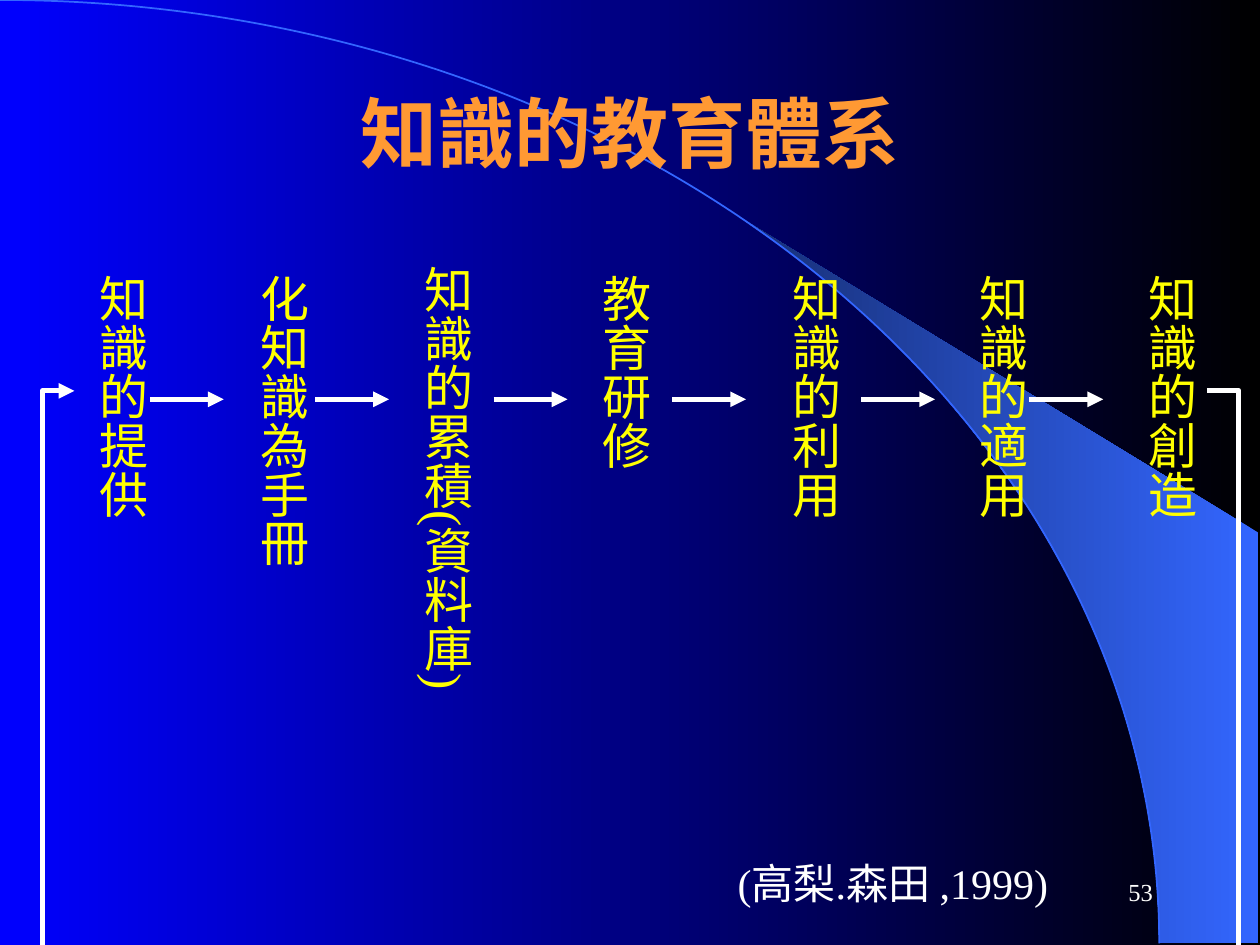
from math import asin, cos, pi, sin

from pptx import Presentation
from pptx.dml.color import RGBColor
from pptx.enum.shapes import MSO_CONNECTOR, MSO_SHAPE
from pptx.enum.text import MSO_ANCHOR, MSO_AUTO_SIZE, PP_ALIGN
from pptx.oxml.ns import qn
from pptx.util import Cm, Pt
from lxml.etree import SubElement

BLACK = RGBColor(0x00, 0x00, 0x00)
BLUE = RGBColor(0x00, 0x00, 0xFF)
SKY = RGBColor(0x33, 0x66, 0xFF)
NAVY = RGBColor(0x17, 0x2F, 0x75)
ORANGE = RGBColor(0xFF, 0x99, 0x33)
YELLOW = RGBColor(0xFF, 0xFF, 0x00)
WHITE = RGBColor(0xFF, 0xFF, 0xFF)
SERIF = "Times New Roman"

# Text, left, top and height of each step, in cm from the flow's corner
STEPS = [
    ("知識的提供", 0, 0.18, 5.18),
    ("化知識為手冊", 3.25, 0.18, 6.17),
    ("知識的累積(資料庫)", 6.55, 0, 9.53),
    ("教育研修", 10.15, 0.18, 4.22),
    ("知識的利用", 13.97, 0.18, 5.18),
    ("知識的適用", 17.75, 0.18, 5.18),
    ("知識的創造", 21.15, 0.18, 5.18),
]
ARROWS = [1.52, 4.85, 8.45, 12.05, 15.86, 19.25]


def shade(fill, first, last):
    fill.gradient()
    fill.gradient_angle = 180
    for stop, color, place in zip(fill.gradient_stops, (first, last), (0, 1)):
        stop.color.rgb = color
        stop.position = place


def write(shape, text, size, color, align, font=SERIF, bold=False):
    para = shape.text_frame.paragraphs[0]
    para.alignment = align
    run = para.add_run()
    run.text = text
    run.font.name = font
    run.font.size = Pt(size)
    run.font.bold = bold
    run.font.color.rgb = color


def add_line(slide, kind, x1, y1, x2, y2):
    line = slide.shapes.add_connector(kind, Cm(x1), Cm(y1), Cm(x2), Cm(y2))
    line.line.color.rgb = WHITE
    line.line.width = Pt(3)
    SubElement(line.line._get_or_add_ln(), qn("a:tailEnd"), type="triangle")
    SubElement(line.element.spPr, qn("a:effectLst"))
    return line


def add_back(slide, x, y, w, h):
    """Gradient ground with a quarter ellipse and the wedge beside it."""
    shade(slide.background.fill, BLACK, BLUE)

    # Wedge: two outer corners, then points along the ellipse
    low = asin(0.64)
    turns = [low + (pi / 2 - low) * i / 24 for i in range(25)]
    curve = [(x + w * sin(t), y + h * (1 - cos(t))) for t in turns]
    points = [(x + 25.37, y + h), (x + 25.37, y + 10.74)] + curve
    points = [(px * 100, py * 100) for px, py in points]
    pen = slide.shapes.build_freeform(*points[0], scale=Cm(0.01))
    pen.add_line_segments(points[1:], close=True)
    wedge = pen.convert_to_shape()
    wedge.shadow.inherit = False
    shade(wedge.fill, SKY, NAVY)
    wedge.line.fill.background()

    # Rim
    arc = slide.shapes.add_shape(
        MSO_SHAPE.ARC, Cm(x - w), Cm(y), Cm(2 * w), Cm(2 * h))
    arc.shadow.inherit = False
    arc.fill.background()
    arc.line.color.rgb = SKY
    arc.line.width = Pt(1)


def add_title(slide, x, y, w, h):
    title = slide.shapes.title
    slide.shapes.element.append(title.element)  # in front of the ground
    title.left, title.top, title.width, title.height = map(Cm, (x, y, w, h))
    frame = title.text_frame
    frame.auto_size = MSO_AUTO_SIZE.NONE
    frame.vertical_anchor = MSO_ANCHOR.MIDDLE
    write(title, "知識的教育體系", 44, ORANGE, PP_ALIGN.CENTER, "Arial", True)


def add_step(slide, text, x, y, w, h):
    box = slide.shapes.add_textbox(Cm(x), Cm(y), Cm(w), Cm(h))
    frame = box.text_frame
    frame.word_wrap = False
    frame.auto_size = MSO_AUTO_SIZE.SHAPE_TO_FIT_TEXT
    frame.margin_left = frame.margin_right = Cm(0.13)
    frame.margin_top = frame.margin_bottom = Cm(0.25)
    frame._txBody.bodyPr.set("vert", "eaVert")
    write(box, text, 28, YELLOW, PP_ALIGN.CENTER)
    return box


def add_flow(slide, x, y):
    """Upright steps, the arrows between them and the loop back."""
    boxes = [add_step(slide, text, x + left, y + top, 1.68, high)
             for text, left, top, high in STEPS]
    for start in ARROWS:
        add_line(slide, MSO_CONNECTOR.STRAIGHT,
                 x + start, y + 2.95, x + start + 1.49, y + 2.95)

    # Loop: out to the right, below the steps, back in from the left
    loop = add_line(slide, MSO_CONNECTOR.ELBOW,
                    x + 22.83, y + 2.79, x - 0.02, y + 2.8)
    loop.begin_connect(boxes[-1], 3)
    loop.end_connect(boxes[0], 1)
    loop.height = Cm(0.01)
    shape = loop.element.spPr.find(qn("a:prstGeom"))
    shape.set("prst", "bentConnector5")
    guides = shape.find(qn("a:avLst"))
    if guides is None:
        guides = SubElement(shape, qn("a:avLst"))
    for i, value in enumerate((-2800, 117100000, 102800), 1):
        SubElement(guides, qn("a:gd"), name=f"adj{i}", fmla=f"val {value}")


def add_note(slide, text, size, align, x, y, w, h, wrap):
    box = slide.shapes.add_textbox(Cm(x), Cm(y), Cm(w), Cm(h))
    frame = box.text_frame
    frame.word_wrap = wrap
    frame.vertical_anchor = MSO_ANCHOR.MIDDLE
    write(box, text, size, WHITE, align)


def main():
    deck = Presentation()
    deck.slide_width, deck.slide_height = Cm(25.4), Cm(19.05)
    slide = deck.slides.add_slide(deck.slide_layouts[5])
    add_back(slide, 0, 0, 23.37, 19.02)
    add_title(slide, 1.9, 1.48, 21.6, 2.33)
    add_flow(slide, 1.5, 5.1)
    # Source and page number
    add_note(slide, "(高梨.森田 ,1999)", 24, PP_ALIGN.CENTER,
             14.1, 17.15, 7.8, 1.27, False)
    add_note(slide, "53", 14, PP_ALIGN.RIGHT, 18.2, 17.35, 5.29, 1.27, True)
    deck.save("out.pptx")


if __name__ == "__main__":
    main()
